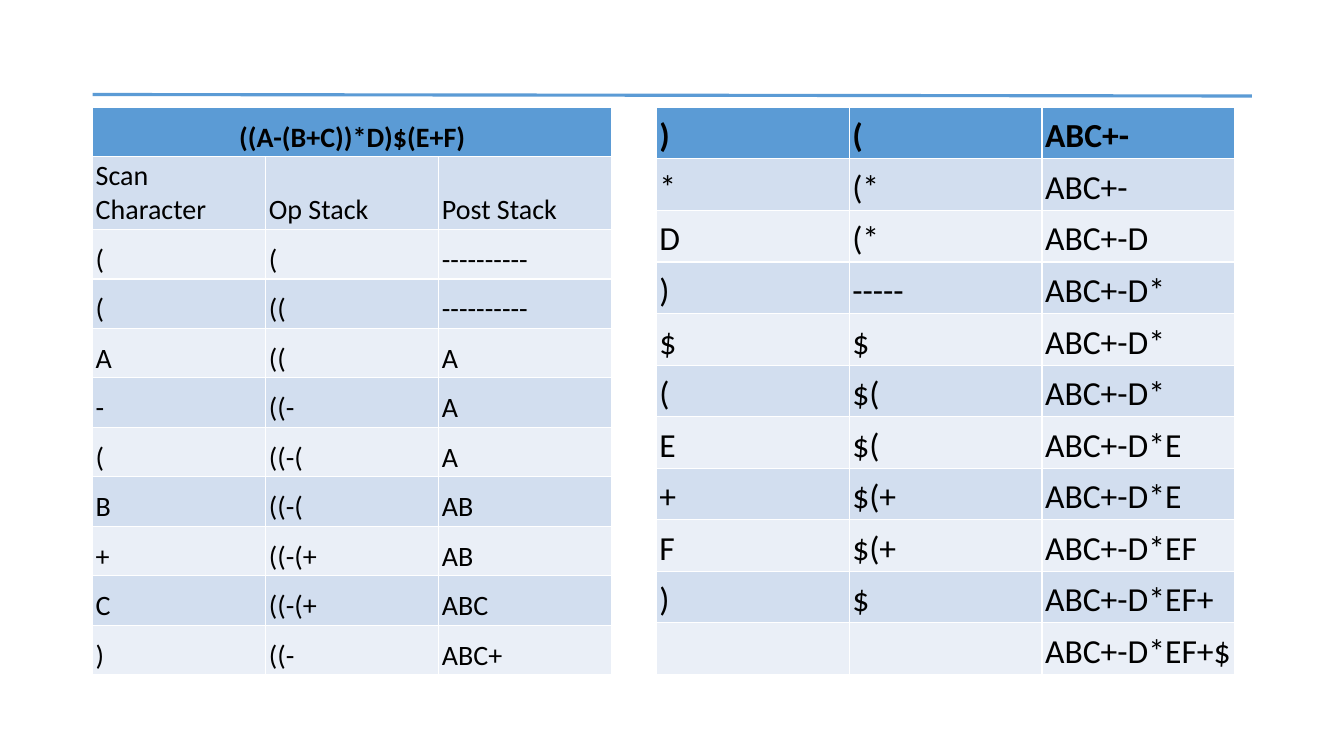
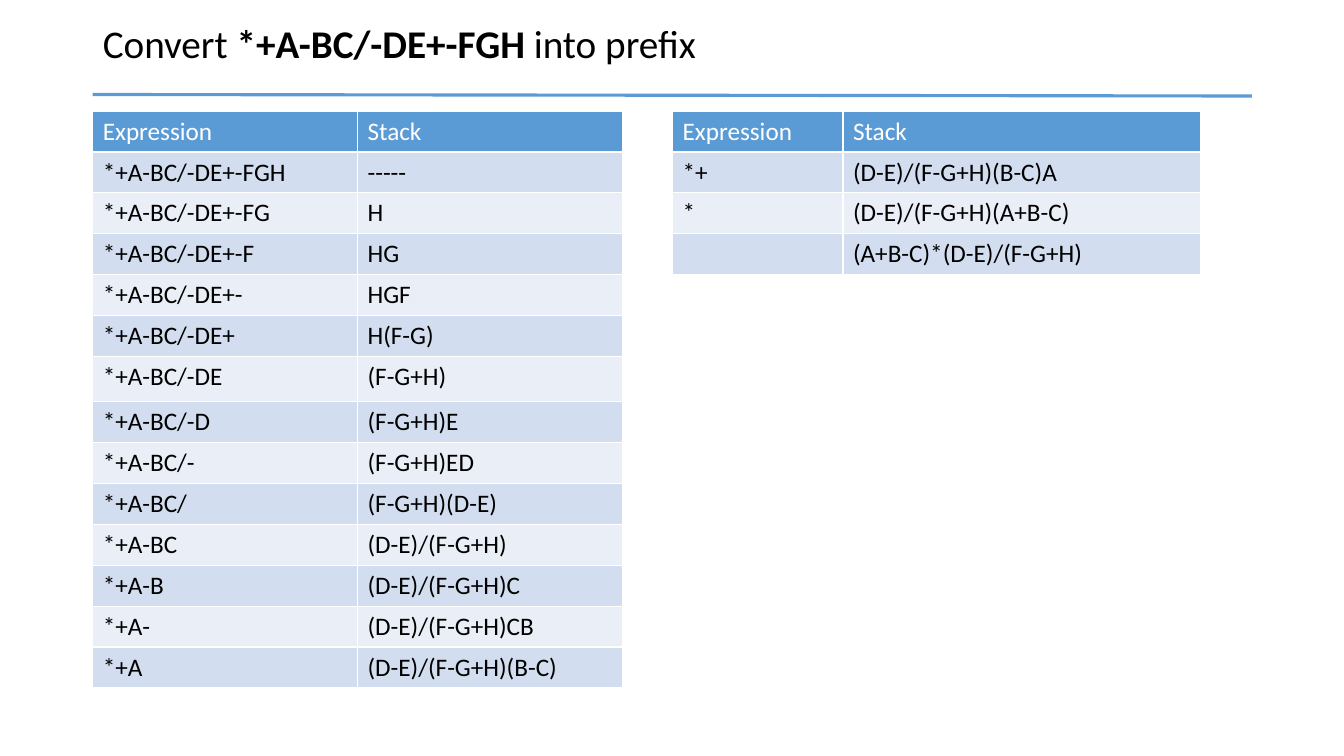
"""Build two slides of expression conversion tables."""
from pptx import Presentation
from pptx.dml.color import RGBColor as RGB
from pptx.enum.shapes import MSO_CONNECTOR as CONN
from pptx.enum.text import MSO_ANCHOR as ANCHOR, PP_ALIGN as ALIGN
from pptx.oxml.ns import qn
from pptx.util import Inches, Pt
from lxml import etree

BLUE = RGB(0x5B, 0x9B, 0xD5)
BANDS = RGB(0xEA, 0xEF, 0xF7), RGB(0xD2, 0xDE, 0xEF)
BLACK = RGB(0, 0, 0)
WHITE = RGB(255, 255, 255)
FONT = "Calibri"

prs = Presentation()
prs.slide_width, prs.slide_height = Inches(13.33), Inches(7.5)
COL, ROW = prs.slide_width / 100, prs.slide_height / 100
LEFT, WIDTH = 6.9, 86.25

TIGHT = {"vertical_anchor": ANCHOR.BOTTOM,
         "margin_left": Inches(0.03), "margin_right": Inches(0.03),
         "margin_top": Inches(0.02), "margin_bottom": Inches(0.02)}


def set_font(font, size, color, bold=False):
    for key, value in {"name": FONT, "size": Pt(size), "bold": bold}.items():
        setattr(font, key, value)
    font.color.rgb = color


def add_grid(slide, rows, left, top, widths, heights, size, head, cell_format):
    box = [int(v) for v in (left * COL, top * ROW, sum(widths) * COL, sum(heights) * ROW)]
    table = slide.shapes.add_table(len(rows), len(widths), *box).table
    for column, width in zip(table.columns, widths):
        column.width = int(width * COL)
    for i, (row, height) in enumerate(zip(rows, heights)):
        table.rows[i].height = int(height * ROW)
        for j, text in enumerate(row):
            cell = table.cell(i, j)
            cell.fill.solid()
            cell.fill.fore_color.rgb = BANDS[i % 2] if i else BLUE
            for key, value in cell_format.items():
                setattr(cell, key, value)
            if text:
                r = cell.text_frame.paragraphs[0].add_run()
                r.text = text
                set_font(r.font, size, *(head if i == 0 else (BLACK,)))
    return table


layout = prs.slide_layouts[5]
title = layout.placeholders[0]
for key, value in {"left": LEFT * COL, "top": 1.5 * ROW,
                   "width": WIDTH * COL, "height": 9.2 * ROW}.items():
    setattr(title, key, int(value))

postfix, prefix = [prs.slides.add_slide(layout) for _ in range(2)]

ends = LEFT * COL, 12.5 * ROW, (LEFT + WIDTH) * COL, 12.7 * ROW
rule = postfix.shapes.add_connector(CONN.STRAIGHT, *[int(v) for v in ends])
rule.line.color.rgb = BLUE
rule.line.width = Pt(2.25)
etree.SubElement(rule._element.spPr, qn("a:effectLst"))
layout.shapes._spTree.append(rule._element)

sp = postfix.shapes.title._element
sp.getparent().remove(sp)

first_steps = [
    ("((A-(B+C))*D)$(E+F)", "", ""),
    ("Scan Character", "Op Stack", "Post Stack"),
    ("(", "(", "----------"),
    ("(", "((", "----------"),
    ("A", "((", "A"),
    ("-", "((-", "A"),
    ("(", "((-(", "A"),
    ("B", "((-(", "AB"),
    ("+", "((-(+", "AB"),
    ("C", "((-(+", "ABC"),
    (")", "((-", "ABC+"),
]
last_steps = [
    (")", "(", "ABC+-"),
    ("*", "(*", "ABC+-"),
    ("D", "(*", "ABC+-D"),
    (")", "-----", "ABC+-D*"),
    ("$", "$", "ABC+-D*"),
    ("(", "$(", "ABC+-D*"),
    ("E", "$(", "ABC+-D*E"),
    ("+", "$(+", "ABC+-D*E"),
    ("F", "$(+", "ABC+-D*EF"),
    (")", "$", "ABC+-D*EF+"),
    ("", "", "ABC+-D*EF+$"),
]
for rows, left, width, height, size in (
    (first_steps, LEFT, 12.88, 6.55, 20),
    (last_steps, 48.84, 14.35, 6.82, 24),
):
    table = add_grid(postfix, rows, left, 14.2, [width] * 3, [height] * len(rows),
                     size, (BLACK, True), TIGHT)
    if rows is first_steps:
        table.cell(0, 0).merge(table.cell(0, 2))
        table.cell(0, 0).text_frame.paragraphs[0].alignment = ALIGN.CENTER
        table.rows[1].height = int(9.5 * ROW)

tf = prefix.shapes.title.text_frame
tf.vertical_anchor = ANCHOR.MIDDLE
p = tf.paragraphs[0]
p.alignment, p.line_spacing = ALIGN.LEFT, 0.9
for text, bold in (("Convert ", False), ("*+A-BC/-DE+-FGH ", True), ("into prefix", False)):
    r = p.add_run()
    r.text = text
    set_font(r.font, 28, BLACK, bold)

HEADINGS = ("Expression", "Stack")
scan = [
    HEADINGS,
    ("*+A-BC/-DE+-FGH", "-----"),
    ("*+A-BC/-DE+-FG", "H"),
    ("*+A-BC/-DE+-F", "HG"),
    ("*+A-BC/-DE+-", "HGF"),
    ("*+A-BC/-DE+", "H(F-G)"),
    ("*+A-BC/-DE", "(F-G+H)"),
    ("*+A-BC/-D", "(F-G+H)E"),
    ("*+A-BC/-", "(F-G+H)ED"),
    ("*+A-BC/", "(F-G+H)(D-E)"),
    ("*+A-BC", "(D-E)/(F-G+H)"),
    ("*+A-B", "(D-E)/(F-G+H)C"),
    ("*+A-", "(D-E)/(F-G+H)CB"),
    ("*+A", "(D-E)/(F-G+H)(B-C)"),
]
result = [
    HEADINGS,
    ("*+", "(D-E)/(F-G+H)(B-C)A"),
    ("*", "(D-E)/(F-G+H)(A+B-C)"),
    ("", "(A+B-C)*(D-E)/(F-G+H)"),
]
for rows, left, widths in ((scan, LEFT, (19.7, 19.7)), (result, 50.04, (12.68, 26.63))):
    heights = [6 if i == 6 else 5.4 for i in range(len(rows))]
    add_grid(prefix, rows, left, 14.7, widths, heights, 18, (WHITE,), {})

prs.save("out.pptx")
